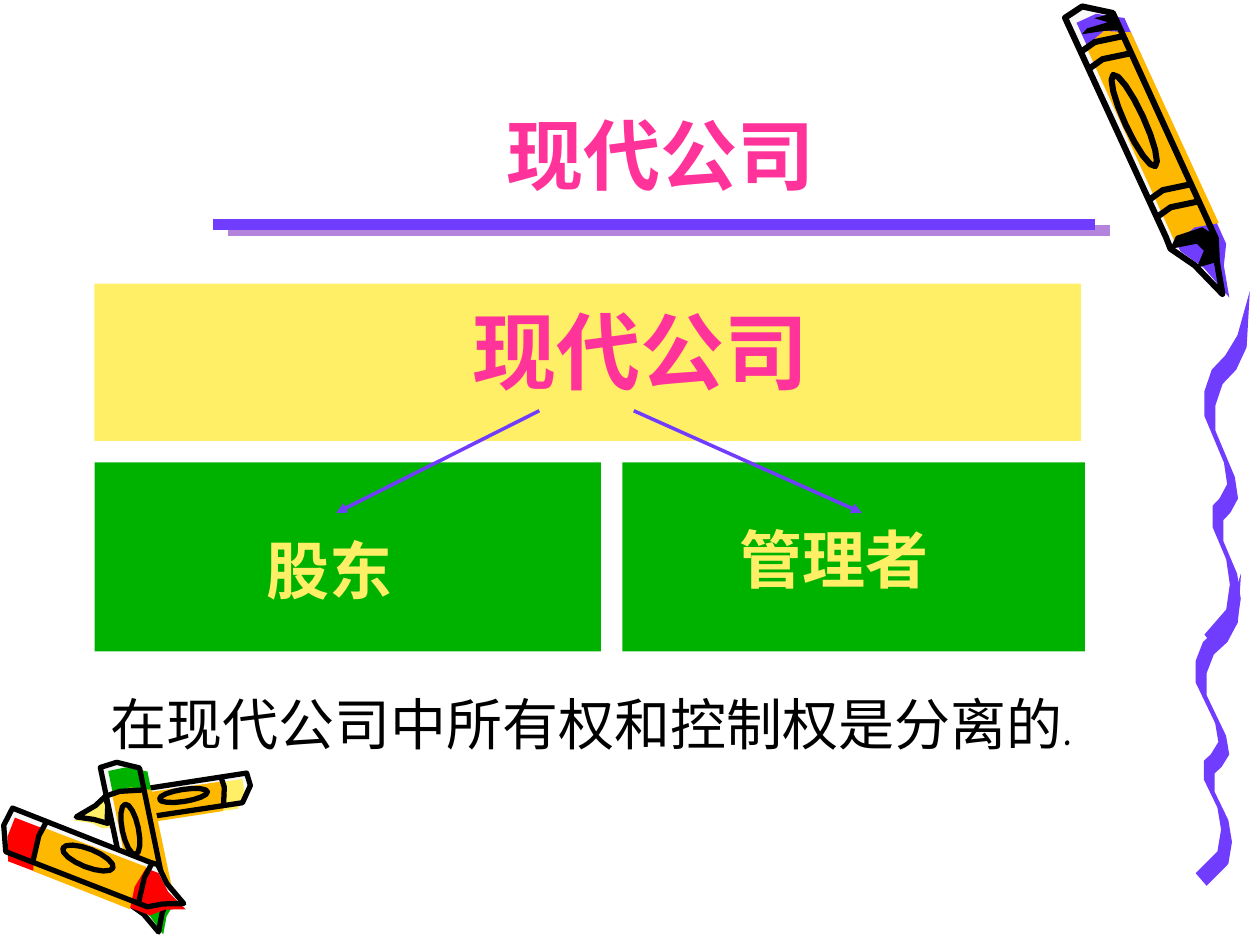
from dataclasses import dataclass
from math import cos, hypot, pi, sin

from lxml.etree import SubElement
from pptx import Presentation
from pptx.dml.color import RGBColor
from pptx.enum.shapes import MSO_CONNECTOR, MSO_SHAPE
from pptx.enum.text import MSO_ANCHOR, PP_ALIGN
from pptx.oxml.ns import qn
from pptx.util import Inches, Pt

PURPLE = RGBColor(0x70, 0x3D, 0xFF)
LILAC = RGBColor(0xB4, 0x84, 0xDC)
ORANGE = RGBColor(0xFF, 0xB8, 0x00)
YELLOW = RGBColor(0xFF, 0xEF, 0x66)
GREEN = RGBColor(0x00, 0xB2, 0x00)
RED = RGBColor(0xFF, 0x00, 0x00)
PINK = RGBColor(0xFF, 0x33, 0x99)
PAPER = RGBColor(0xF8, 0xF8, 0xF8)
BLACK = RGBColor(0x00, 0x00, 0x00)


@dataclass
class Crayon:
    color: RGBColor
    tail: tuple
    tip: tuple
    half_width: float
    sleeve: tuple
    bands: tuple
    oval: tuple
    ink: float
    side: int = 1
    scribbled: bool = False

    def place(self, points):
        run = self.tip[0] - self.tail[0]
        rise = self.tip[1] - self.tail[1]
        reach = self.side * self.half_width / hypot(run, rise)
        return [(self.tail[0] + along * run + across * reach * rise,
                 self.tail[1] + along * rise - across * reach * run)
                for along, across in points]


CRAYONS = [
    Crayon(PURPLE, (8.7, 0.11), (9.74, 2.37), 0.19, (0.08, 0.77), (0.09, 0.15, 0.61, 0.67),
           (0.36, 0.16), 3.5, scribbled=True),
    Crayon(YELLOW, (1.94, 6.29), (0.58, 6.5), 0.12, (0.12, 0.8), (0.12, 0.8), (0.35, 0.14), 3),
    Crayon(GREEN, (1, 6.09), (1.28, 7.42), 0.16, (0.14, 0.75), (0.14,), (0.36, 0.15), 3),
    Crayon(RED, (0.06, 6.64), (1.48, 7.2), 0.18, (0.17, 0.73), (0.16, 0.75), (0.43, 0.14), 3, side=-1),
]
OUTLINE = [(0.74, -1.25), (-0.03, -1.25), (-0.04, -0.4), (0.02, 0.65), (0.81, 0.62), (0.88, 0.25),
           (0.98, -0.1), (0.86, -0.65), (0.78, -1.28)]
PIGMENT = [(0, -0.9), (0.8, -0.95), (0.88, -0.35), (1, 0.1), (0.9, 0.45), (0.84, 0.92), (0.05, 1), (0, 0)]
CAP_SCRIBBLE = [(0.04, -0.9), (0.06, 0), (0.08, 0.65), (0.02, 0.6), (0.01, -0.15), (0.04, 0.3), (0.03, -0.6)]
NIB_SCRIBBLE = [(0.78, -1.3), (0.75, -0.85), (0.76, 0.3), (0.81, 0.72), (0.88, 0.23), (0.87, -0.62),
                (0.83, -0.05), (0.8, -0.2)]
BAND_BEND = [(0, -1.25), (-0.01, -0.55), (0.01, 0.6)]
OVAL_CENTER, OVAL_REACH, OVAL_STEPS = -0.42, 0.4, 16

SQUIGGLE_STRANDS = [(9.49, 4.55, 0.36, 2.48), (9.56, 2.31, 0.36, 2.84)]
SQUIGGLE_SPINE = [(1, 0), (0.83, 0.14), (0.58, 0.2), (0.28, 0.24), (0.12, 0.3), (0.12, 0.37), (0.55, 0.5),
                  (0.62, 0.56), (0.45, 0.6), (0.3, 0.62), (0.3, 0.68), (0.6, 0.77), (0.68, 0.84),
                  (0.6, 0.91), (0.12, 0.98)]
RIBBON_REACH = (0.12, 0.02)
RIBBON_TAPER = 6

RULE_START, RULE_LENGTH, RULE_SHADOW = (1.69, 1.78), 7, (0.12, 0.05)
ARROWS = [((4.28, 3.26), (2.67, 4.07)), ((5.03, 3.26), (6.84, 4.07))]

TITLE = ("现代公司", (1.53, 0.52, 7.42, 1.4), PP_ALIGN.CENTER, MSO_ANCHOR.MIDDLE,
         {"size": Pt(44), "name": "Comic Neue", "bold": True}, PINK)
BODY = ("在现代公司中所有权和控制权是分离的.", (0.44, 5.42, 8.5, 1.58), PP_ALIGN.CENTER, MSO_ANCHOR.TOP,
        {"size": Pt(32), "name": "Comic Neue", "bold": False}, BLACK)
LABEL_FORMAT = {"size": Pt(36), "name": "Arial", "bold": True}
PANELS = [
    ((0.75, 2.25, 7.83, 1.25), YELLOW,
     ("现代公司", (3.19, 2.33, 3.78, 0.9), PP_ALIGN.CENTER, MSO_ANCHOR.TOP,
      {**LABEL_FORMAT, "size": Pt(48)}, PINK)),
    ((0.75, 3.67, 4.02, 1.5), GREEN,
     ("股东", (2.02, 4.17, 1.8, 0.7), PP_ALIGN.LEFT, MSO_ANCHOR.TOP, LABEL_FORMAT, YELLOW)),
    ((4.94, 3.67, 3.67, 1.5), GREEN,
     ("管理者", (5.77, 4.08, 2.22, 0.7), PP_ALIGN.LEFT, MSO_ANCHOR.TOP, LABEL_FORMAT, YELLOW)),
]


def inches(values):
    return [Inches(value) for value in values]


def paint(shape, color):
    shape.shadow.inherit = False
    shape.fill.solid()
    shape.fill.fore_color.rgb = color
    shape.line.fill.background()


def trace(page, points, close=True):
    corners = [inches(point) for point in points]
    builder = page.shapes.build_freeform(*corners[0])
    builder.add_line_segments(corners[1:], close=close)
    return builder.convert_to_shape()


def draw_stroke(page, points, width, close=False):
    stroke = trace(page, points, close)
    stroke.shadow.inherit = False
    stroke.fill.background()
    stroke.line.color.rgb = BLACK
    stroke.line.width = Pt(width)


def draw_crayon(page, crayon):
    start, end = crayon.sleeve
    sleeve = [(start, -0.95), (end, -1), (end - 0.02, 0), (end, 1), (start + 0.02, 1), (start - 0.02, 0)]
    fills = [(PAPER, OUTLINE), (crayon.color, PIGMENT), (ORANGE, sleeve)]
    if crayon.scribbled:
        fills += [(BLACK, CAP_SCRIBBLE), (BLACK, NIB_SCRIBBLE)]
    for color, points in fills:
        paint(trace(page, crayon.place(points)), color)

    middle, length = crayon.oval
    turns = [2 * pi * step / OVAL_STEPS for step in range(OVAL_STEPS)]
    oval = [(middle + length * cos(turn), OVAL_CENTER + OVAL_REACH * sin(turn)) for turn in turns]
    for loop in (OUTLINE, oval):
        draw_stroke(page, crayon.place(loop), crayon.ink, close=True)
    for band in crayon.bands:
        bend = [(band + along, across) for along, across in BAND_BEND]
        draw_stroke(page, crayon.place(bend), crayon.ink)


def draw_squiggle(page, strand):
    left, top, width, height = strand

    def edge(sign):
        for across, down in SQUIGGLE_SPINE:
            reach = sign * min(1, RIBBON_TAPER * down)
            yield (left + width * (across + reach * RIBBON_REACH[0]),
                   top + height * (down + reach * RIBBON_REACH[1]))

    paint(trace(page, list(edge(-1)) + list(edge(1))[::-1]), PURPLE)


def draw_line(page, start, end, color, width, arrow=False):
    line = page.shapes.add_connector(MSO_CONNECTOR.STRAIGHT, *inches(start + end))
    line.line.color.rgb = color
    line.line.width = Pt(width)
    if arrow:
        SubElement(line._element.spPr.find(qn("a:ln")), qn("a:tailEnd"), type="triangle")
    SubElement(line._element.spPr, qn("a:effectLst"))


def draw_title_rule(page):
    for color, (right, down) in ((LILAC, RULE_SHADOW), (PURPLE, (0, 0))):
        start = (RULE_START[0] + right, RULE_START[1] + down)
        draw_line(page, start, (start[0] + RULE_LENGTH, start[1]), color, 6)


def write(box, entry):
    text, place, align, anchor, formats, color = entry
    box.left, box.top, box.width, box.height = inches(place)
    frame = box.text_frame
    frame.word_wrap = True
    frame.vertical_anchor = anchor
    para = frame.paragraphs[0]
    para.alignment = align
    para.space_before = Pt(0)
    span = para.add_run()
    span.text = text
    for name, value in formats.items():
        setattr(span.font, name, value)
    span.font.color.rgb = color
    return para


def main():
    deck = Presentation()
    deck.slide_width, deck.slide_height = inches((10, 7.5))
    page = deck.slides.add_slide(deck.slide_layouts[1])
    write(page.shapes.title, TITLE)
    properties = write(page.placeholders[1], BODY)._p.get_or_add_pPr()
    properties.set("marL", "0")
    properties.set("indent", "0")
    SubElement(properties, qn("a:buNone"))
    for crayon in CRAYONS:
        draw_crayon(page, crayon)
    for strand in SQUIGGLE_STRANDS:
        draw_squiggle(page, strand)
    draw_title_rule(page)
    for place, color, label in PANELS:
        paint(page.shapes.add_shape(MSO_SHAPE.RECTANGLE, *inches(place)), color)
        write(page.shapes.add_textbox(*inches(label[1])), label)
    for start, end in ARROWS:
        draw_line(page, start, end, PURPLE, 2, arrow=True)
    deck.save("out.pptx")


if __name__ == "__main__":
    main()
